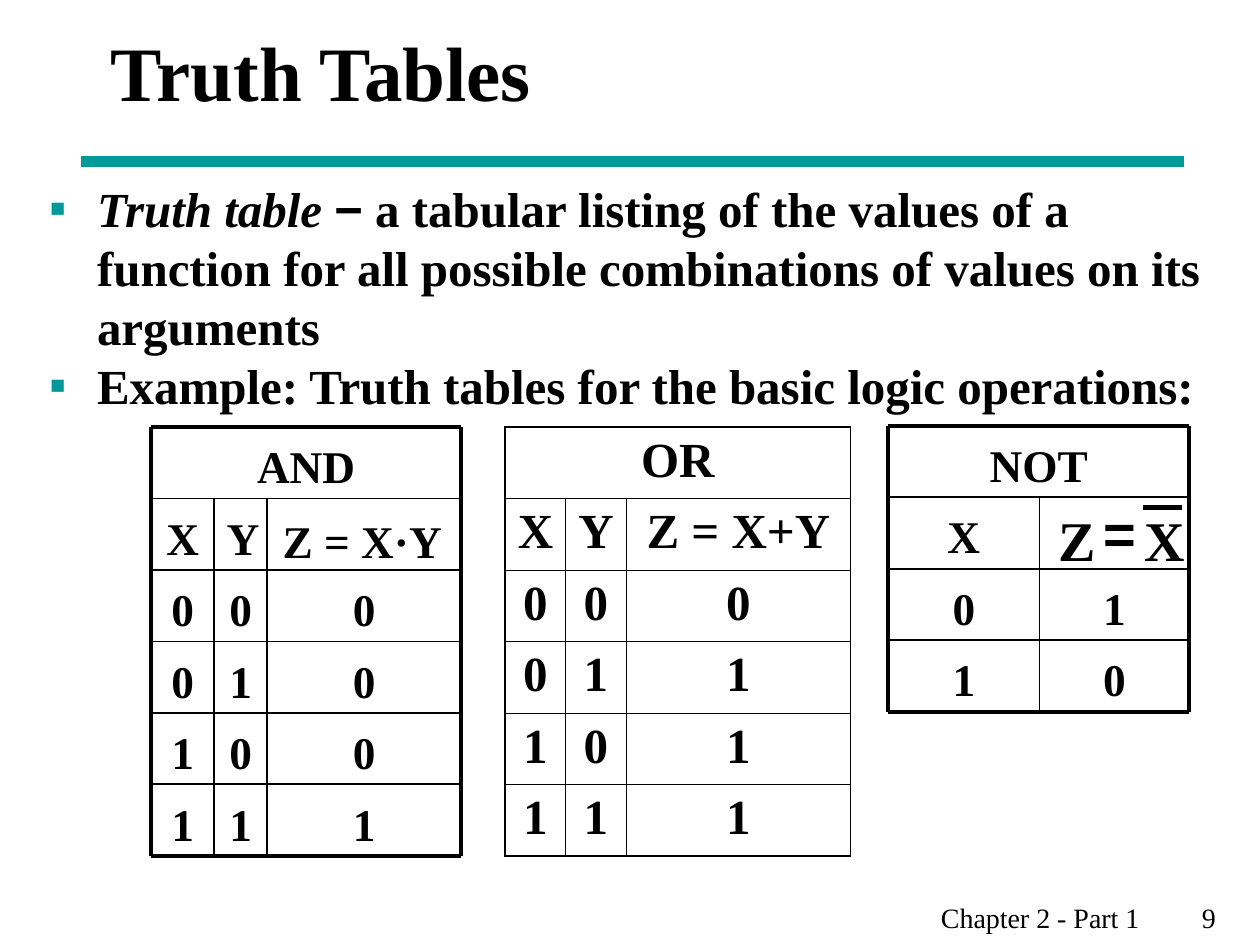
from itertools import accumulate

from lxml.etree import SubElement
from pptx import Presentation
from pptx.dml.color import RGBColor
from pptx.enum.shapes import MSO_CONNECTOR
from pptx.enum.text import MSO_ANCHOR, MSO_AUTO_SIZE, PP_ALIGN
from pptx.oxml.ns import qn
from pptx.util import Inches, Pt

COLORS = {"text": "000000", "accent": "009999"}
SERIF, SANS = "Times New Roman", "Arial"
ROW_HEIGHT = 0.567


class SlideBuilder:
    def __init__(self, slide, colors):
        self.slide = slide
        self.colors = colors

    def style(self, paragraph, size, bold=True, font=SERIF, align=PP_ALIGN.LEFT):
        paragraph.alignment = align
        paragraph.font.name = font
        paragraph.font.size = Pt(size)
        paragraph.font.bold = bold
        paragraph.font.color.rgb = RGBColor.from_string(self.colors["text"])

    def place(self, shape, left, top, width, height):
        shape.left, shape.top = Inches(left), Inches(top)
        shape.width, shape.height = Inches(width), Inches(height)

    def title(self, text, *box):
        title = self.slide.shapes.title
        self.place(title, *box)
        title.text_frame.text = text
        title.text_frame.vertical_anchor = MSO_ANCHOR.MIDDLE
        title.text_frame.auto_size = MSO_AUTO_SIZE.NONE
        self.style(title.text_frame.paragraphs[0], 44)

    def bullets(self, items, *box):
        """Fill the body; each item is a list of (text, font, italic) runs."""
        body = self.slide.placeholders[1]
        self.place(body, *box)
        frame = body.text_frame
        frame.auto_size = MSO_AUTO_SIZE.NONE
        for index, runs in enumerate(items):
            paragraph = frame.add_paragraph() if index else frame.paragraphs[0]
            paragraph.space_before = Pt(0)
            properties = paragraph._p.get_or_add_pPr()
            properties.set("marL", str(Inches(0.38)))
            properties.set("indent", str(-Inches(0.38)))
            bullet_color = SubElement(properties, qn("a:buClr"))
            SubElement(bullet_color, qn("a:srgbClr"), val=self.colors["accent"])
            SubElement(properties, qn("a:buFont"), typeface=SERIF)
            SubElement(properties, qn("a:buChar"), char="▪")
            self.style(paragraph, 28)
            for text, font, italic in runs:
                run = paragraph.add_run()
                run.text = text
                run.font.name = font
                run.font.italic = italic

    def line(self, x1, y1, x2, y2, color, width):
        line = self.slide.shapes.add_connector(
            MSO_CONNECTOR.STRAIGHT, Inches(x1), Inches(y1), Inches(x2), Inches(y2))
        line.line.color.rgb = RGBColor.from_string(self.colors[color])
        line.line.width = Pt(width)
        SubElement(line._element.spPr, qn("a:effectLst"))

    def text_box(self, left, top, width, height):
        box = self.slide.shapes.add_textbox(
            Inches(left), Inches(top), Inches(width), Inches(height))
        box.text_frame.word_wrap = True
        return box.text_frame

    def symbol(self, text, left, top, width, font=SERIF):
        frame = self.text_box(left, top, width, 0.53)
        frame.margin_left = frame.margin_right = 0
        frame.margin_top = frame.margin_bottom = 0
        frame.word_wrap = False
        frame.text = text
        self.style(frame.paragraphs[0], 32, font=font, align=PP_ALIGN.CENTER)

    def label(self, text, left, top, width):
        frame = self.text_box(left, top, width, ROW_HEIGHT)
        frame.margin_top, frame.margin_bottom = Inches(0.09), Inches(0.03)
        frame.text = text
        self.style(frame.paragraphs[0], 25.9, align=PP_ALIGN.CENTER)

    def footer(self, text, number, *box):
        paragraph = self.text_box(*box).paragraphs[0]
        paragraph.add_run().text = f"{text}\t{number}"
        tabs = SubElement(paragraph._p.get_or_add_pPr(), qn("a:tabLst"))
        SubElement(tabs, qn("a:tab"), pos=str(Inches(2.07)), algn="l")
        self.style(paragraph, 16, bold=False)

    def ruled_grid(self, name, rows, left, top, columns):
        """Draw a truth table from labels and ruled lines; None leaves a cell open."""
        edges = list(accumulate(columns, initial=left))
        right = edges[-1]
        tops = [top + ROW_HEIGHT * r for r in range(len(rows) + 2)]
        bottom = tops[-1]
        self.label(name, left, top, right - left)
        for row_top, values in zip(tops[1:], rows):
            for x, width, value in zip(edges, columns, values):
                if value is not None:
                    self.label(value, x, row_top, width)
        for y in tops:
            self.line(left, y, right, y, "text", 2.25 if y in (top, bottom) else 1)
        for x in (left, right):
            self.line(x, top, x, bottom, "text", 2.25)
        for x in edges[1:-1]:
            self.line(x, tops[1], x, bottom, "text", 1)

    def borders(self, cell, widths):
        properties = cell._tc.get_or_add_tcPr()
        for side, width in zip(("L", "R", "T", "B"), widths):
            border = SubElement(properties, qn(f"a:ln{side}"), w=str(Pt(width)))
            fill = SubElement(border, qn("a:solidFill"))
            SubElement(fill, qn("a:srgbClr"), val=self.colors["text"])

    def truth_table(self, name, rows, left, top, columns):
        """Draw a table whose merged first row holds the operation's name."""
        row_count, column_count = len(rows) + 1, len(columns)
        table = self.slide.shapes.add_table(
            row_count, column_count, Inches(left), Inches(top),
            Inches(sum(columns)), Inches(ROW_HEIGHT * row_count)).table
        table.first_row = table.horz_banding = False
        for column, width in zip(table.columns, columns):
            column.width = Inches(width)
        for row in table.rows:
            row.height = Inches(ROW_HEIGHT)
        table.cell(0, 0).merge(table.cell(0, column_count - 1))
        header = [name] + [""] * (column_count - 1)
        for r, values in enumerate([header, *rows]):
            for c, value in enumerate(values):
                cell = table.cell(r, c)
                on_edge = (r == 0 or c == 0, r == 0 or c == column_count - 1,
                           r == 0, r == row_count - 1)
                self.borders(cell, [1.08 if edge else 0.45 for edge in on_edge])
                cell.fill.background()
                if value:
                    cell.text = value
                    self.style(cell.text_frame.paragraphs[0], 28,
                               align=PP_ALIGN.CENTER)


def binary_rows(operation):
    return [[str(x), str(y), str(operation(x, y))] for x in (0, 1) for y in (0, 1)]


def main():
    presentation = Presentation()
    presentation.slide_width, presentation.slide_height = Inches(10), Inches(7.5)
    slide = presentation.slides.add_slide(presentation.slide_layouts[1])
    builder = SlideBuilder(slide, COLORS)

    builder.line(0.64, 1.28, 9.4, 1.28, "accent", 6)
    builder.footer("Chapter 2 - Part 1", 9, 7.37, 7.1, 2.6, 0.37)
    builder.title("Truth Tables", 0.78, 0, 8.5, 1.12)
    builder.bullets([
        [("Truth table ", SERIF, True), ("−", SANS, False),
         (" a tabular listing of the values of a function for all possible "
          "combinations of values on its arguments", SERIF, False)],
        [("Example: Truth tables for the basic logic operations:", SERIF, False)],
    ], 0.29, 1.37, 9.54, 5.5)

    builder.ruled_grid(
        "AND", [["X", "Y", None], *binary_rows(lambda x, y: x & y)],
        1.2, 3.39, [0.5, 0.42, 1.54])
    builder.label("Z = X·Y", 1.98, 3.98, 1.79)
    builder.truth_table(
        "OR", [["X", "Y", "Z = X+Y"], *binary_rows(lambda x, y: x | y)],
        4.01, 3.39, [0.48, 0.48, 1.78])
    builder.ruled_grid(
        "NOT", [["X", None], ["0", "1"], ["1", "0"]], 7.05, 3.38, [1.2, 1.19])

    # Z equals X with an overbar, in the NOT table's header
    builder.symbol("Z", 8.4, 4.01, 0.3)
    builder.symbol("=", 8.71, 3.96, 0.35, SANS)
    builder.symbol("X", 9.08, 4.01, 0.32)
    builder.line(9.07, 4.03, 9.38, 4.03, "text", 3)

    presentation.save("out.pptx")


if __name__ == "__main__":
    main()
